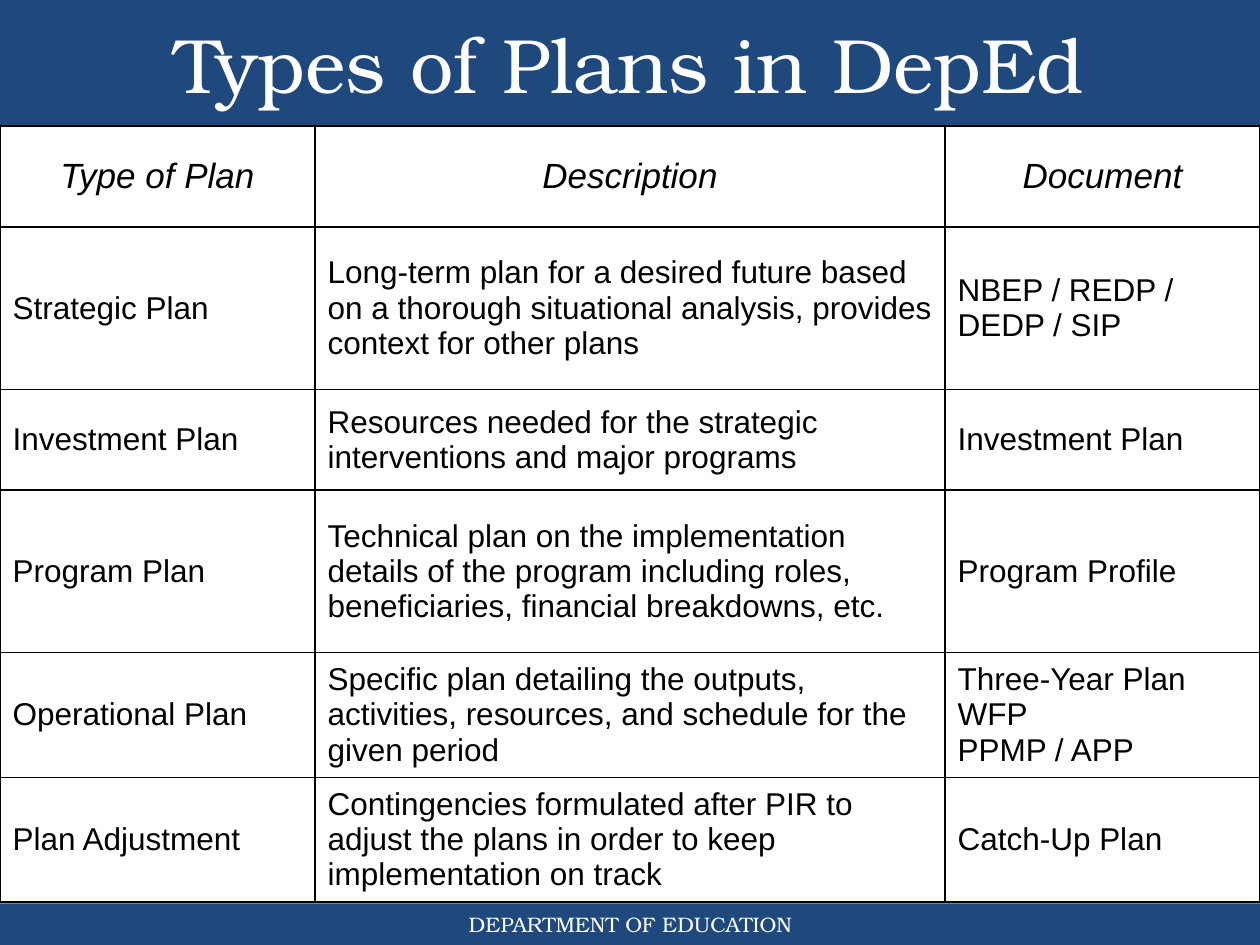
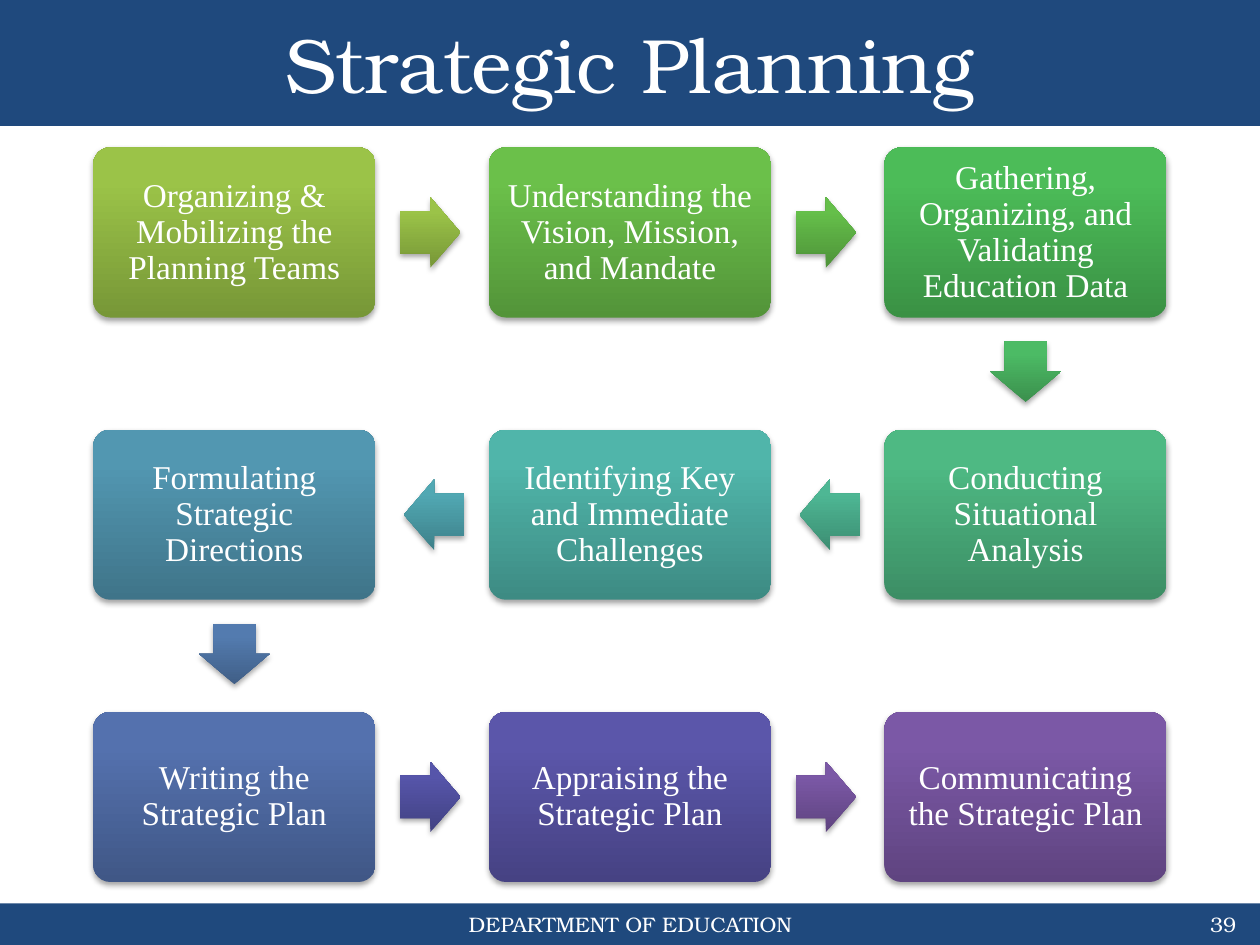
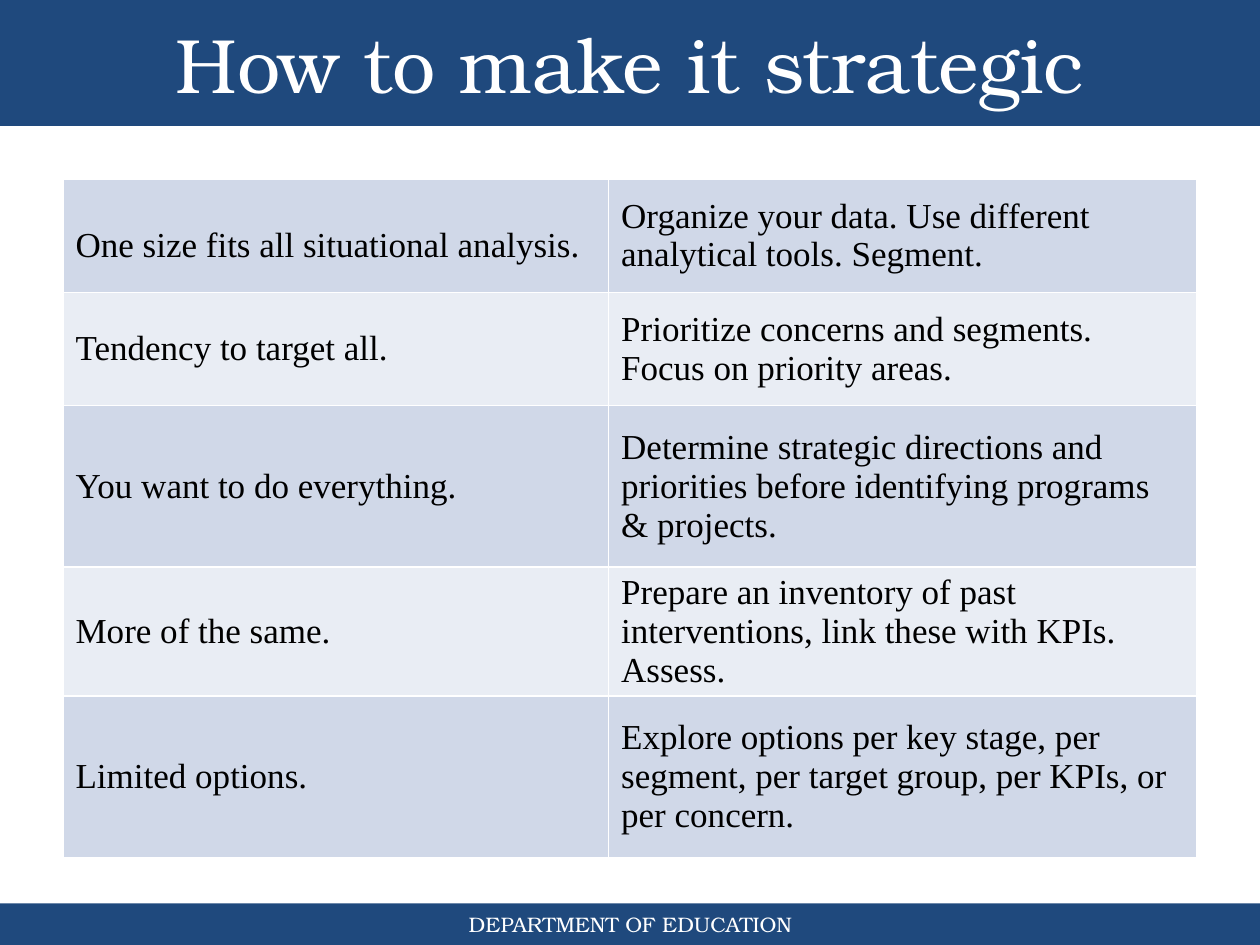
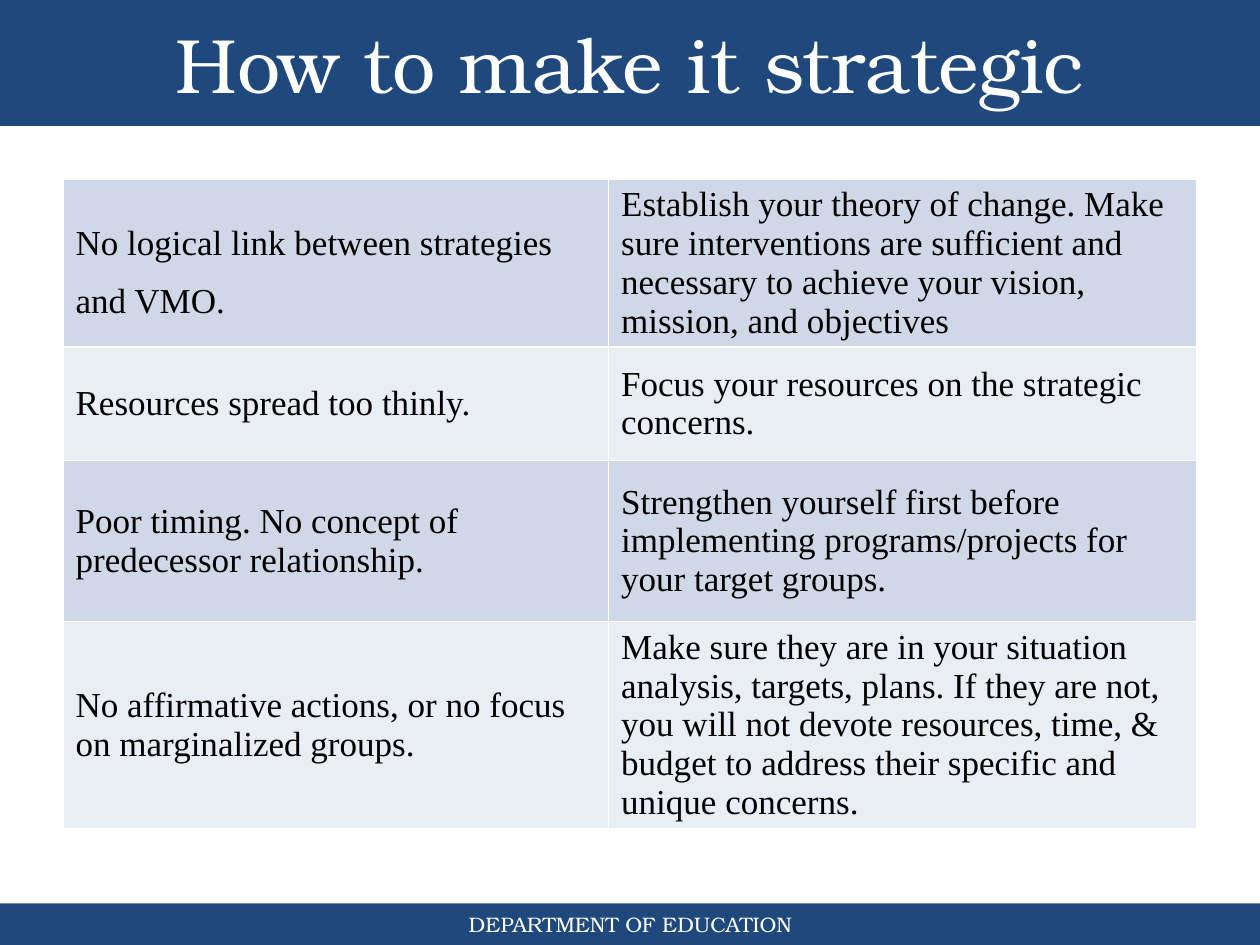
from pptx import Presentation
from pptx.dml.color import RGBColor
from pptx.enum import shapes, text
from pptx.oxml import parse_xml
from pptx.oxml import ns
from pptx.util import Inches, Pt

NAVY = RGBColor(0x1F, 0x49, 0x7D)
WHITE = RGBColor(0xFF, 0xFF, 0xFF)
BLACK = RGBColor(0, 0, 0)
BANDS = (RGBColor(0xD0, 0xD8, 0xE8), RGBColor(0xE9, 0xED, 0xF4))
SERIF, SANS, HEAD = "Times New Roman", "Arial", "TeX Gyre Bonum"
MID = text.MSO_ANCHOR.MIDDLE
LEFT, CENTER, RIGHT = text.PP_ALIGN.LEFT, text.PP_ALIGN.CENTER, text.PP_ALIGN.RIGHT

PLANS = [
    ("Type of Plan", "Description", "Document"),
    ("Strategic Plan",
     "Long-term plan for a desired future based on a thorough situational analysis, "
     "provides context for other plans",
     "NBEP / REDP / DEDP / SIP"),
    ("Investment Plan",
     "Resources needed for the strategic interventions and major programs",
     "Investment Plan"),
    ("Program Plan",
     "Technical plan on the implementation details of the program including roles, "
     "beneficiaries, financial breakdowns, etc.",
     "Program Profile"),
    ("Operational Plan",
     "Specific plan detailing the outputs, activities, resources, and schedule for the given period",
     "Three-Year Plan\nWFP\nPPMP / APP"),
    ("Plan Adjustment",
     "Contingencies formulated after PIR to adjust the plans in order to keep implementation on track",
     "Catch-Up Plan"),
]
STEPS = [
    ("Organizing & Mobilizing the Planning Teams", "779737", "9BC348"),
    ("Understanding the Vision, Mission, and Mandate", "539439", "6BC04A"),
    ("Gathering, Organizing, and Validating Education Data", "3A9144", "4CBC58"),
    ("Conducting Situational Analysis", "3C8E65", "4EB983"),
    ("Identifying Key and Immediate Challenges", "3D8B83", "50B5AA"),
    ("Formulating Strategic Directions", "3F7489", "5297B1"),
    ("Writing the Strategic Plan", "405786", "5471AE"),
    ("Appraising the Strategic Plan", "464283", "5B56AA"),
    ("Communicating the Strategic Plan", "5F4480", "7B58A6"),
]
ARROWS = [
    ("779737", "9BC348"), ("4E9339", "65BF4A"), ("3B904D", "4CBB65"), ("3C8D72", "4EB794"),
    ("3E818A", "51A8B3"), ("405F87", "537BAF"), ("424283", "5655AA"), ("5F4480", "7B58A6"),
]
TRAPS = [
    ("One size fits all situational analysis.",
     "Organize your data. Use different analytical tools. Segment."),
    ("Tendency to target all.",
     "Prioritize concerns and segments. Focus on priority areas."),
    ("You want to do everything.",
     "Determine strategic directions and priorities before identifying programs & projects."),
    ("More of the same.",
     "Prepare an inventory of past interventions, link these with KPIs. Assess."),
    ("Limited options.",
     "Explore options per key stage, per segment, per target group, per KPIs, or per concern."),
]
GAPS = [
    ("No logical link between strategies and VMO.",
     "Establish your theory of change. Make sure interventions are sufficient and necessary "
     "to achieve your vision, mission, and objectives"),
    ("Resources spread too thinly.",
     "Focus your resources on the strategic concerns."),
    ("Poor timing. No concept of predecessor relationship.",
     "Strengthen yourself first before implementing programs/projects for your target groups."),
    ("No affirmative actions, or no focus on marginalized groups.",
     "Make sure they are in your situation analysis, targets, plans. If they are not, you will not "
     "devote resources, time, & budget to address their specific and unique concerns."),
]

CARD_W, CARD_H = 2.24, 1.35
ARROW_W, ARROW_H = 0.48, 0.56
PITCH_X, PITCH_Y = 3.14, 2.24
LEAD = 0.015


def inch(*sizes):
    return [Inches(size) for size in sizes]


def write(frame, words, size, font, color, align):
    frame.text = words
    frame.word_wrap = True
    frame.vertical_anchor = MID
    style(frame, size, font, color, align)


def style(frame, size, font, color, align):
    for para in frame.paragraphs:
        para.alignment = align
        para.font.size = Pt(size)
        para.font.name = font
        para.font.color.rgb = color


def label(slide, box, words, align):
    item = slide.shapes.add_textbox(*inch(*box))
    write(item.text_frame, words, 12, HEAD, WHITE, align)
    return item


def band(slide, top, height):
    item = slide.shapes.add_shape(shapes.MSO_SHAPE.RECTANGLE, *inch(0, top, 10, height))
    item.shadow.inherit = False
    item.fill.solid()
    item.fill.fore_color.rgb = NAVY
    item.line.fill.background()
    return item


def frame_layout(deck, layout):
    draft = deck.slides[0]
    parts = [band(draft, 7.17, 0.33), band(draft, 0, 1),
             label(draft, (3.42, 7.17, 3.17, 0.33), "DEPARTMENT OF EDUCATION", CENTER)]
    for spot, part in enumerate(parts, 2):
        layout.shapes.element.insert(spot, part.element)


def add_page(deck, layout, words):
    slide = deck.slides.add_slide(layout)
    title = slide.shapes.title
    title.left, title.top, title.width, title.height = inch(0.5, 0, 9, 1)
    write(title.text_frame, words, 44, HEAD, WHITE, CENTER)
    return slide


def edge(cell, color):
    props = cell._tc.get_or_add_tcPr()
    for side in "LRTB":
        props.append(parse_xml(
            f'<a:ln{side} {ns.nsdecls("a")} w="12700"><a:solidFill>'
            f'<a:srgbClr val="{color}"/></a:solidFill></a:ln{side}>'))


def add_grid(slide, box, rows, widths, heights, line):
    grid = slide.shapes.add_table(len(rows), len(widths), *inch(*box)).table
    grid.first_row = grid.horz_banding = False
    for col, width in zip(grid.columns, widths):
        col.width = Inches(width)
    for row, height, words in zip(grid.rows, heights, rows):
        row.height = Inches(height)
        for cell, entry in zip(row.cells, words):
            cell.text = entry
            cell.vertical_anchor = MID
            edge(cell, line)
    return grid


def plan_table(slide):
    grid = add_grid(slide, (0, 1, 10, 6.18), PLANS, (2.5, 5, 2.5),
                    (0.8, 1.29, 0.8, 1.29, 0.99, 0.99), BLACK)
    for cell in grid.iter_cells():
        cell.fill.background()
        style(cell.text_frame, 18, SANS, BLACK, LEFT)
    for cell in grid.rows[0].cells:
        style(cell.text_frame, 20, SANS, BLACK, CENTER)
        cell.text_frame.paragraphs[0].font.italic = True


def advice_table(slide, rows, heights, total):
    grid = add_grid(slide, (0.5, 1.42, 9, total), rows, (4.33, 4.67), heights, WHITE)
    for num, row in enumerate(grid.rows):
        for cell in row.cells:
            cell.fill.solid()
            cell.fill.fore_color.rgb = BANDS[num % 2]
            style(cell.text_frame, 20, SERIF, BLACK, LEFT)
    grid.cell(0, 0).text_frame.paragraphs[0].line_spacing = 1.5


def add_glossy(slide, kind, center, size, dark, light):
    (x, y), (w, h) = center, size
    item = slide.shapes.add_shape(kind, *inch(x - w / 2, y - h / 2, w, h))
    item.line.fill.background()
    item.fill.gradient()
    item.fill.gradient_angle = 90
    for stop, color, place in zip(item.fill.gradient_stops, (dark, light), (0, 0.8)):
        stop.color.rgb = RGBColor.from_string(color)
        stop.position = place
    item.shadow.inherit = False
    props = item.element.spPr
    props.find(ns.qn("a:gradFill")).set("rotWithShape", "0")
    props.find(ns.qn("a:effectLst")).append(parse_xml(
        f'<a:outerShdw {ns.nsdecls("a")} blurRad="40000" dist="23000" dir="5400000" '
        'rotWithShape="0"><a:srgbClr val="000000"><a:alpha val="35000"/></a:srgbClr></a:outerShdw>'))
    return item


def center_of(num):
    row, col = divmod(num, 3)
    if row % 2:
        col = 2 - col
    return 1.86 + PITCH_X * col, 1.845 + PITCH_Y * row


def add_card(slide, num):
    words, dark, light = STEPS[num]
    card = add_glossy(slide, shapes.MSO_SHAPE.ROUNDED_RECTANGLE, center_of(num),
                      (CARD_W, CARD_H), dark, light)
    card.adjustments[0] = 0.1
    frame = card.text_frame
    frame.margin_left = frame.margin_right = frame.margin_top = frame.margin_bottom = Inches(0.08)
    write(frame, words, 19, SERIF, WHITE, CENTER)
    frame.paragraphs[0].line_spacing = 0.9


def add_arrow(slide, num):
    (x, y), (nextx, nexty) = center_of(num), center_of(num + 1)
    dx = (nextx > x) - (nextx < x)
    dy = int(nexty > y)
    middle = (x + nextx) / 2 - LEAD * dx, (y + nexty) / 2 - LEAD * dy
    arrow = add_glossy(slide, shapes.MSO_SHAPE.RIGHT_ARROW, middle,
                       (ARROW_W, ARROW_H), *ARROWS[num])
    arrow.adjustments[0], arrow.adjustments[1] = 0.6, 0.5
    arrow.rotation = 90 if dy else 180 if dx < 0 else 0


def flow(slide):
    for num in range(len(STEPS)):
        add_card(slide, num)
        if num < len(ARROWS):
            add_arrow(slide, num)


def main():
    deck = Presentation()
    deck.slide_width, deck.slide_height = inch(10, 7.5)
    layout = deck.slide_layouts[5]
    plans, steps, traps, gaps = [add_page(deck, layout, words) for words in (
        "Types of Plans in DepEd", "Strategic Planning",
        "How to make it strategic", "How to make it strategic")]
    frame_layout(deck, layout)
    plan_table(plans)
    flow(steps)
    label(steps, (7.58, 7.17, 2.33, 0.33), "39", RIGHT)
    advice_table(traps, TRAPS, (0.9, 0.9, 1.28, 0.9, 1.28), 5.45)
    advice_table(gaps, GAPS, (0.9, 0.9, 1.28, 0.9), 5.38)
    deck.save("out.pptx")


if __name__ == "__main__":
    main()
